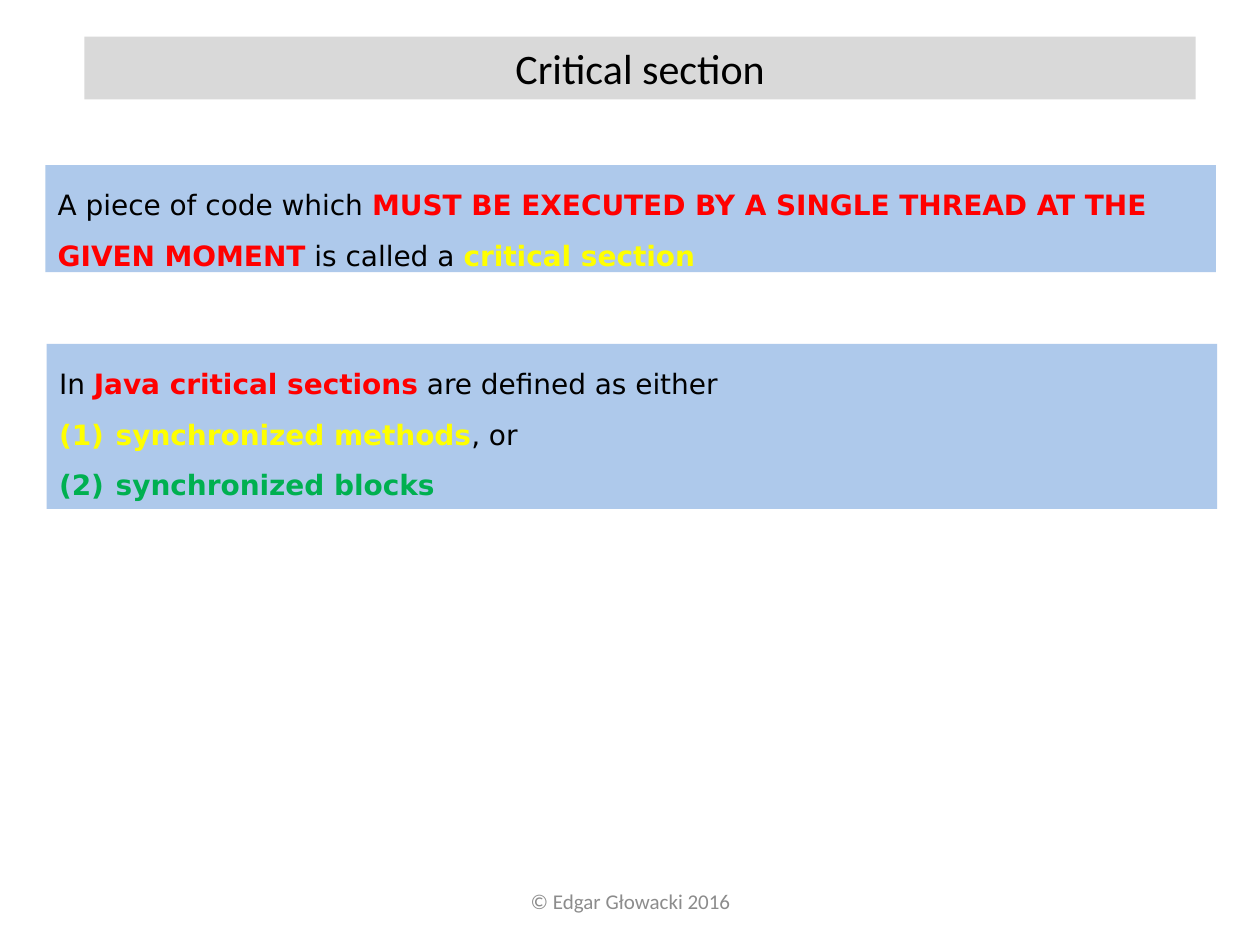
from lxml.etree import SubElement
from pptx import Presentation
from pptx.dml.color import RGBColor
from pptx.enum.shapes import MSO_SHAPE
from pptx.enum.text import MSO_ANCHOR, MSO_AUTO_SIZE, PP_ALIGN
from pptx.oxml.ns import qn
from pptx.util import Inches, Pt

BLACK = RGBColor(0x00, 0x00, 0x00)
GRAY = RGBColor(0x8C, 0x8C, 0x8C)
LIGHT_GRAY = RGBColor(0xD9, 0xD9, 0xD9)
BLUE = RGBColor(0x8E, 0xB4, 0xE3)
RED = RGBColor(0xFF, 0x00, 0x00)
YELLOW = RGBColor(0xFF, 0xFF, 0x00)
GREEN = RGBColor(0x00, 0xB0, 0x50)


class SlideBuilder:
    heading_font = "Calibri"
    body_font = "DejaVu Sans"
    body_size = Pt(16)
    line_spacing = 1.5
    number_indent = Inches(0.45)
    panel_opacity = 71

    def __init__(self, slide):
        self.slide = slide

    def rectangle(self, left, top, width, height, color):
        panel = self.slide.shapes.add_shape(
            MSO_SHAPE.RECTANGLE, Inches(left), Inches(top), Inches(width), Inches(height))
        panel.shadow.inherit = False
        panel.fill.solid()
        panel.fill.fore_color.rgb = color
        panel.line.fill.background()
        frame = panel.text_frame
        frame.word_wrap = True
        frame.auto_size = MSO_AUTO_SIZE.SHAPE_TO_FIT_TEXT
        frame.vertical_anchor = MSO_ANCHOR.TOP
        return panel

    def centered_line(self, frame, text, size, color):
        frame.text = text
        line = frame.paragraphs[0]
        line.alignment = PP_ALIGN.CENTER
        font = line.runs[0].font
        font.name, font.size, font.color.rgb = self.heading_font, Pt(size), color

    def title(self, text):
        banner = self.rectangle(0.67, 0.29, 8.82, 0.5, LIGHT_GRAY)
        self.centered_line(banner.text_frame, text, 24, BLACK)

    def footer(self, text):
        credit = self.slide.shapes.add_textbox(
            Inches(3.42), Inches(6.95), Inches(3.17), Inches(0.4))
        credit.text_frame.word_wrap = True
        credit.text_frame.vertical_anchor = MSO_ANCHOR.MIDDLE
        self.centered_line(credit.text_frame, text, 12, GRAY)

    def number(self, paragraph):
        properties = paragraph._p.get_or_add_pPr()
        properties.set("marL", str(self.number_indent))
        properties.set("indent", str(-self.number_indent))
        SubElement(properties, qn("a:buFont"), typeface=self.body_font)
        SubElement(properties, qn("a:buAutoNum"), type="arabicParenBoth")

    def panel(self, left, top, width, height, sentence, numbered=()):
        panel = self.rectangle(left, top, width, height, BLUE)
        tint = next(panel.element.spPr.iter(qn("a:srgbClr")))
        SubElement(tint, qn("a:alpha"), val=str(self.panel_opacity * 1000))
        frame = panel.text_frame
        for index, phrases in enumerate([sentence, *numbered]):
            paragraph = frame.add_paragraph() if index else frame.paragraphs[0]
            paragraph.alignment = PP_ALIGN.LEFT
            paragraph.line_spacing = self.line_spacing
            if index:
                self.number(paragraph)
            for text, color in phrases:
                run = paragraph.add_run()
                run.text = text
                font = run.font
                font.name, font.size = self.body_font, self.body_size
                font.bold = color != BLACK
                font.color.rgb = color


def main():
    deck = Presentation()
    deck.slide_width, deck.slide_height = Inches(10), Inches(7.5)
    builder = SlideBuilder(deck.slides.add_slide(deck.slide_layouts[6]))

    builder.footer("© Edgar Głowacki 2016")
    builder.title("Critical section")
    builder.panel(0.36, 1.31, 9.29, 0.85, [
        ("A piece of code which ", BLACK),
        ("MUST BE EXECUTED BY A SINGLE THREAD AT THE GIVEN MOMENT", RED),
        (" is called a ", BLACK),
        ("critical section", YELLOW),
    ])
    builder.panel(0.37, 2.73, 9.29, 1.31, [
        ("In ", BLACK),
        ("Java critical sections", RED),
        (" are defined as either", BLACK),
    ], numbered=[
        [("synchronized methods", YELLOW), (", or", BLACK)],
        [("synchronized blocks", GREEN)],
    ])
    deck.save("out.pptx")


if __name__ == "__main__":
    main()
